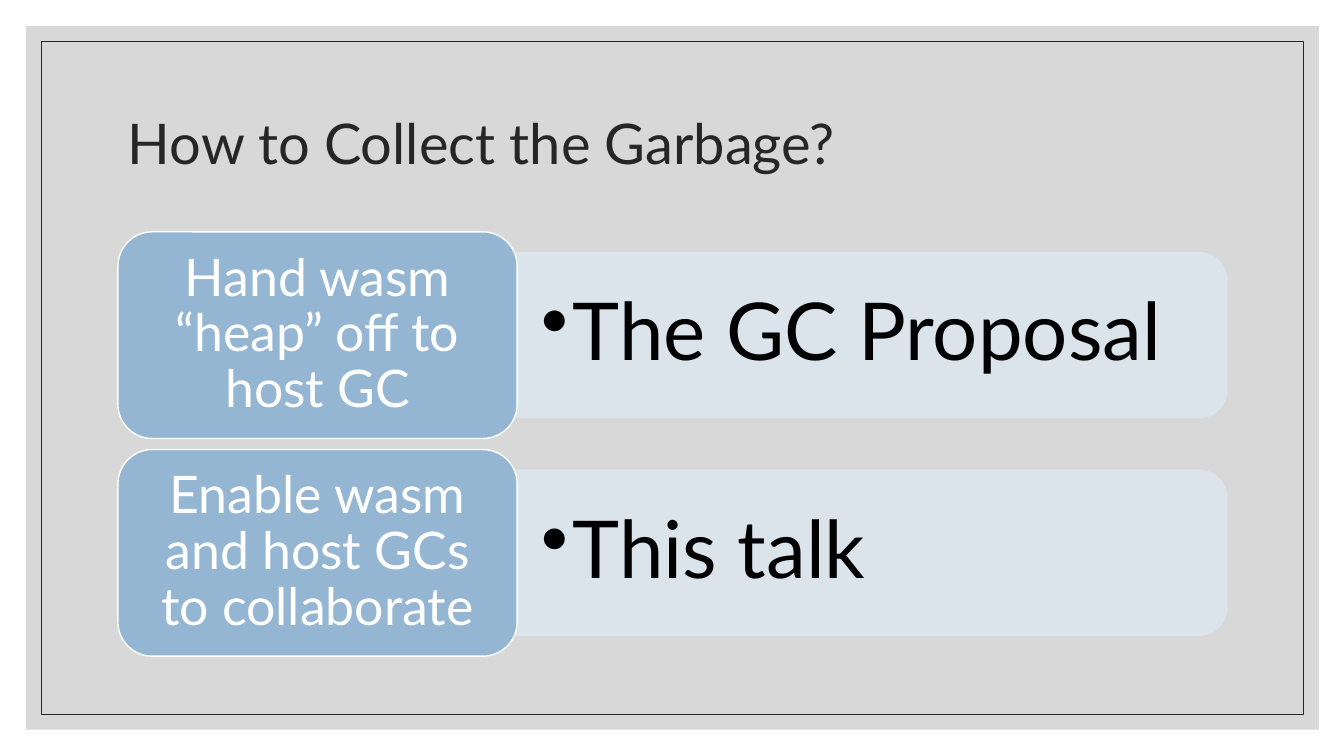
import math
from pptx import Presentation, util as u
from pptx.dml.color import RGBColor
from pptx.enum import shapes as s, text as t
from pptx.oxml.ns import qn
from lxml import etree

COLORS = {"backdrop": "BFBFBF", "ink": "262626", "label": "94B6D2",
          "panel": "DCE5EE", "white": "FFFFFF", "black": "000000"}


def write(shape, words, size, color, align=t.PP_ALIGN.LEFT, insets=(0.1, 0.05, 0.1, 0.05), bullet=False):
    frame = shape.text_frame
    frame.word_wrap = True
    frame.vertical_anchor = t.MSO_ANCHOR.MIDDLE
    frame.margin_left, frame.margin_top, frame.margin_right, frame.margin_bottom = map(u.Inches, insets)
    paragraph = frame.paragraphs[0]
    paragraph.alignment = align
    paragraph.line_spacing = 0.9
    run = paragraph.add_run()
    run.text = words
    run.font.name = "Lato"
    run.font.size = u.Pt(size)
    run.font.color.rgb = RGBColor.from_string(COLORS[color])
    if bullet:
        props = paragraph._p.get_or_add_pPr()
        props.set("marL", str(u.Inches(0.31)))
        props.set("indent", str(u.Inches(-0.31)))
        etree.SubElement(props, qn("a:buChar")).set("char", "•")


def paint(shape, fill=None, line=None, width=1, opacity=100):
    shape.shadow.inherit = False
    for part, color in ((shape.fill, fill), (shape.line.fill, line)):
        if color is None:
            part.background()
            continue
        part.solid()
        part.fore_color.rgb = RGBColor.from_string(COLORS[color])
    if line:
        shape.line.width = u.Pt(width)
    if opacity < 100:
        for tint in shape._element.spPr.iter(qn("a:srgbClr")):
            etree.SubElement(tint, qn("a:alpha")).set("val", str(opacity * 1000))


deck = Presentation()
deck.slide_width, deck.slide_height = u.Inches(13.33), u.Inches(7.5)
slide = deck.slides.add_slide(deck.slide_layouts[6])
items = slide.shapes

backdrop = items.add_shape(s.MSO_SHAPE.RECTANGLE, *map(u.Inches, (0.26, 0.26, 12.82, 6.98)))
paint(backdrop, fill="backdrop", opacity=60)
border = items.add_shape(s.MSO_SHAPE.RECTANGLE, *map(u.Inches, (0.41, 0.41, 12.52, 6.68)))
paint(border, line="ink", width=0.5)

title = items.add_textbox(*map(u.Inches, (1.17, 0.7, 11, 1.5)))
write(title, "How to Collect the Garbage?", 40, "ink")

options = [("Hand wasm “heap” off to host GC", "The GC Proposal"),
           ("Enable wasm and host GCs to collaborate", "This talk")]
left, middle, right = 1.17, 5.13, 12.17
label_height, panel_height, pitch = 2.05, 1.64, 2.16
panel_radius, label_radius = 0.28, 0.34
for row, (approach, answer) in enumerate(options):
    label_top = 2.3 + row * pitch
    top = label_top + (label_height - panel_height) / 2
    bottom = top + panel_height
    corners = []
    for center_y, start in ((top + panel_radius, -90), (bottom - panel_radius, 0)):
        for step in range(0, 91, 5):
            angle = math.radians(start + step)
            corners.append((u.Inches(right - panel_radius + panel_radius * math.cos(angle)),
                            u.Inches(center_y + panel_radius * math.sin(angle))))
    outline = items.build_freeform(u.Inches(middle), u.Inches(top))
    outline.add_line_segments(corners + [(u.Inches(middle), u.Inches(bottom))], close=True)
    panel = outline.convert_to_shape()
    paint(panel, fill="panel", line="panel", opacity=90)
    write(panel, answer, 57, "black", insets=(0.24, 0.2, 0.32, 0.2), bullet=True)

    label = items.add_shape(s.MSO_SHAPE.ROUNDED_RECTANGLE,
                            *map(u.Inches, (left, label_top, middle - left, label_height)))
    label.adjustments[0] = label_radius / label_height
    paint(label, fill="label", line="white")
    write(label, approach, 37, "white", align=t.PP_ALIGN.CENTER, insets=(0.15, 0.08, 0.15, 0.08))

deck.save("out.pptx")
